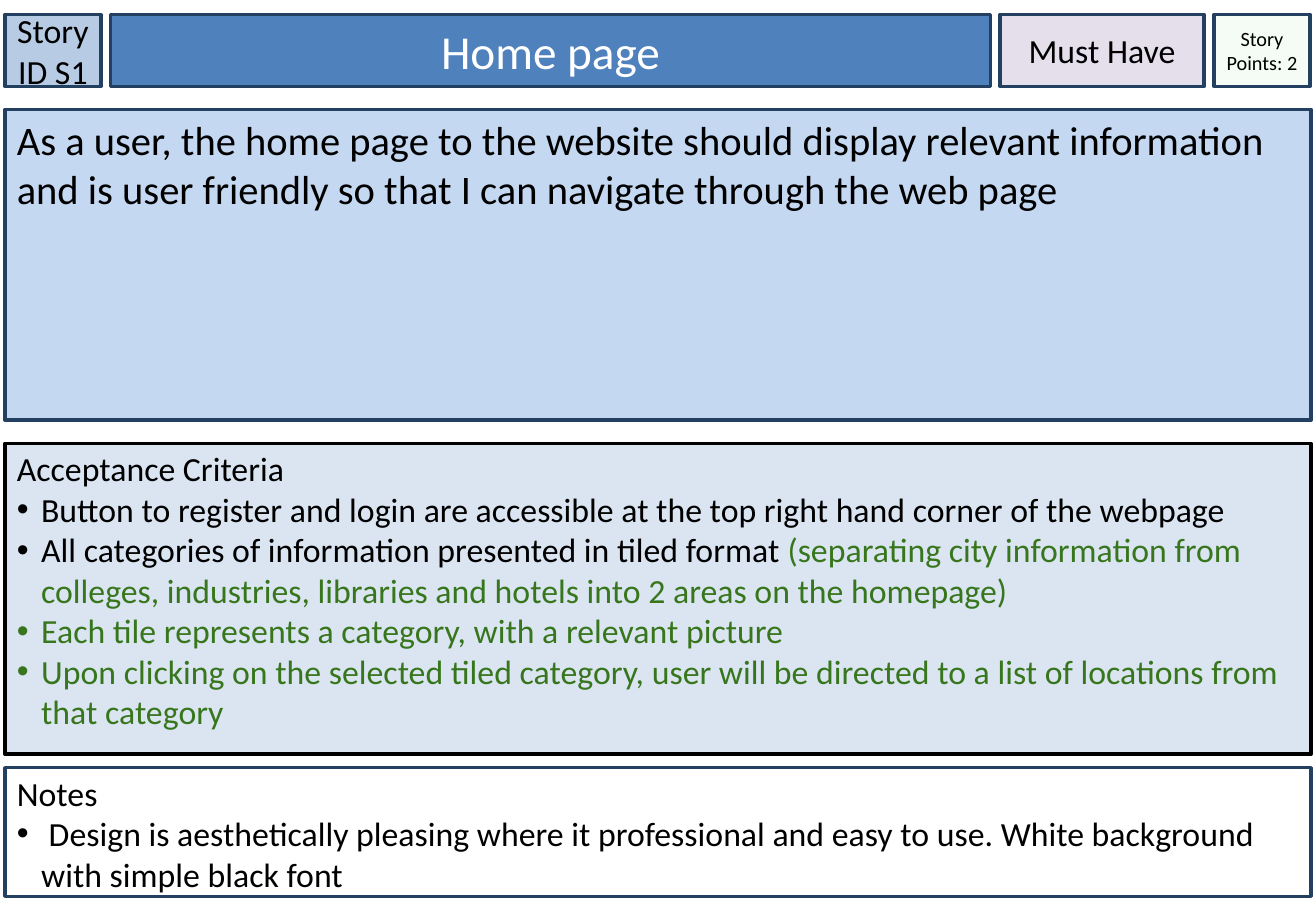
import pptx
import pptx.util
import pptx.dml.color
import pptx.enum.shapes
import pptx.enum.text
import pptx.oxml
import pptx.oxml.ns
from lxml import etree

Inches, Pt = pptx.util.Inches, pptx.util.Pt
ALIGN = pptx.enum.text.PP_ALIGN
ANCHOR = pptx.enum.text.MSO_ANCHOR

# Content: paragraphs are (bulleted, [(text, colour), ...])
COLORS = {
    "black": "000000", "white": "FFFFFF", "green": "38761D", "navy": "244061",
    "id": "B7CCE4", "title": "4F81BD", "priority": "E5DFEC", "points": "CCF0CD",
    "story": "C5D8F1", "criteria": "DAE5F1",
}
TITLE = "Home page"
# Header boxes: text, width, size, fill, opacity in percent
HEADER = [
    ("Story ID S1", 0.79, 20, "id", 100),
    (TITLE, 7.24, 28, "title", 100),
    ("Must Have", 1.68, 20, "priority", 100),
    ("Story Points: 2", 0.79, 12, "points", 20),
]
STORY = [(False, [("As a user, the home page to the website should display relevant "
                   "information and is user friendly so that I can navigate through "
                   "the web page", "black")])]
CRITERIA = [
    (False, [("Acceptance Criteria", "black")]),
    (True, [("Button to register and login are accessible at the top right hand "
             "corner of the webpage", "black")]),
    (True, [("All categories of information presented in tiled format ", "black"),
            ("(separating city information from colleges, industries, libraries "
             "and hotels into 2 areas on the homepage)", "green")]),
    (True, [("Each tile represents a category, with a relevant picture", "green")]),
    (True, [("Upon clicking on the selected tiled category, user will be directed "
             "to a list of locations from that category", "green")]),
]
NOTES = [
    (False, [("Notes", "black")]),
    (True, [(" Design is aesthetically pleasing where it professional and easy to "
             "use. White background with simple black font", "black")]),
]
# Panels: paragraphs, top, height, size, fill, line, top inset
PANELS = [
    (STORY, 0.9, 2.56, 24, "story", "navy", 0.05),
    (CRITERIA, 3.65, 2.56, 20, "criteria", "black", 0.04),
    (NOTES, 6.32, 1.06, 20, "white", "navy", 0.04),
]
LEFT, WIDTH, GAP = 0.04, 10.75, 0.08
HEADER_TOP, HEADER_HEIGHT = 0.12, 0.59


def rgb(name):
    return pptx.dml.color.RGBColor.from_string(COLORS[name])


def add_box(x, y, w, h):
    sp = s.shapes.add_shape(pptx.enum.shapes.MSO_SHAPE.RECTANGLE,
                            Inches(x), Inches(y), Inches(w), Inches(h))
    sp.shadow.inherit = False
    return sp


def style_box(sp, fill, line, side, top, anchor):
    sp.fill.solid()
    sp.fill.fore_color.rgb = rgb(fill)
    sp.line.color.rgb = rgb(line)
    sp.line.width = Pt(2)
    tf = sp.text_frame
    tf.word_wrap = True
    tf.auto_size = pptx.enum.text.MSO_AUTO_SIZE.NONE
    tf.vertical_anchor = anchor
    tf.margin_left = tf.margin_right = Inches(side)
    tf.margin_top, tf.margin_bottom = Inches(top), Inches(0.05)


def set_opacity(sp, percent):
    clr = sp.fill._xPr.find(".//" + pptx.oxml.ns.qn("a:srgbClr"))
    etree.SubElement(clr, pptx.oxml.ns.qn("a:alpha"), val=str(percent * 1000))


def add_bullet(p, color):
    pPr = p._p.get_or_add_pPr()
    pPr.set("marL", str(Inches(0.2)))
    pPr.set("indent", str(-Inches(0.2)))
    buClr = etree.SubElement(pPr, pptx.oxml.ns.qn("a:buClr"))
    etree.SubElement(buClr, pptx.oxml.ns.qn("a:srgbClr"), val=COLORS[color])
    etree.SubElement(pPr, pptx.oxml.ns.qn("a:buFont"), typeface="Arial")
    etree.SubElement(pPr, pptx.oxml.ns.qn("a:buChar"), char="•")


def write(tf, paragraphs, size, align):
    for i, (bulleted, runs) in enumerate(paragraphs):
        p = tf.add_paragraph() if i else tf.paragraphs[0]
        p.alignment = align
        if bulleted:
            add_bullet(p, runs[0][1])
        for text, color in runs:
            r = p.add_run()
            r.text = text
            r.font.name = "Calibri"
            r.font.size = Pt(size)
            r.font.color.rgb = rgb(color)


prs = pptx.Presentation()
prs.slide_width, prs.slide_height = Inches(10.83), Inches(7.5)
s = prs.slides.add_slide(prs.slide_layouts[5])

# Header row, with the slide title as its widest box
x = LEFT
for text, w, size, fill, opacity in HEADER:
    is_title = text == TITLE
    if is_title:
        sp = s.shapes.title
        sp.left, sp.top = Inches(x), Inches(HEADER_TOP)
        sp.width, sp.height = Inches(w), Inches(HEADER_HEIGHT)
    else:
        sp = add_box(x, HEADER_TOP, w, HEADER_HEIGHT)
    style_box(sp, fill, "navy", 0.1 if is_title else 0, 0.05, ANCHOR.MIDDLE)
    if opacity < 100:
        set_opacity(sp, opacity)
    color = "white" if is_title else "black"
    write(sp.text_frame, [(False, [(text, color)])], size, ALIGN.CENTER)
    x += w + GAP

# Story, acceptance criteria and notes panels
for paragraphs, top, h, size, fill, line, inset in PANELS:
    sp = add_box(LEFT, top, WIDTH, h)
    style_box(sp, fill, line, 0.1, inset, ANCHOR.TOP)
    write(sp.text_frame, paragraphs, size, ALIGN.LEFT)

prs.save("out.pptx")
